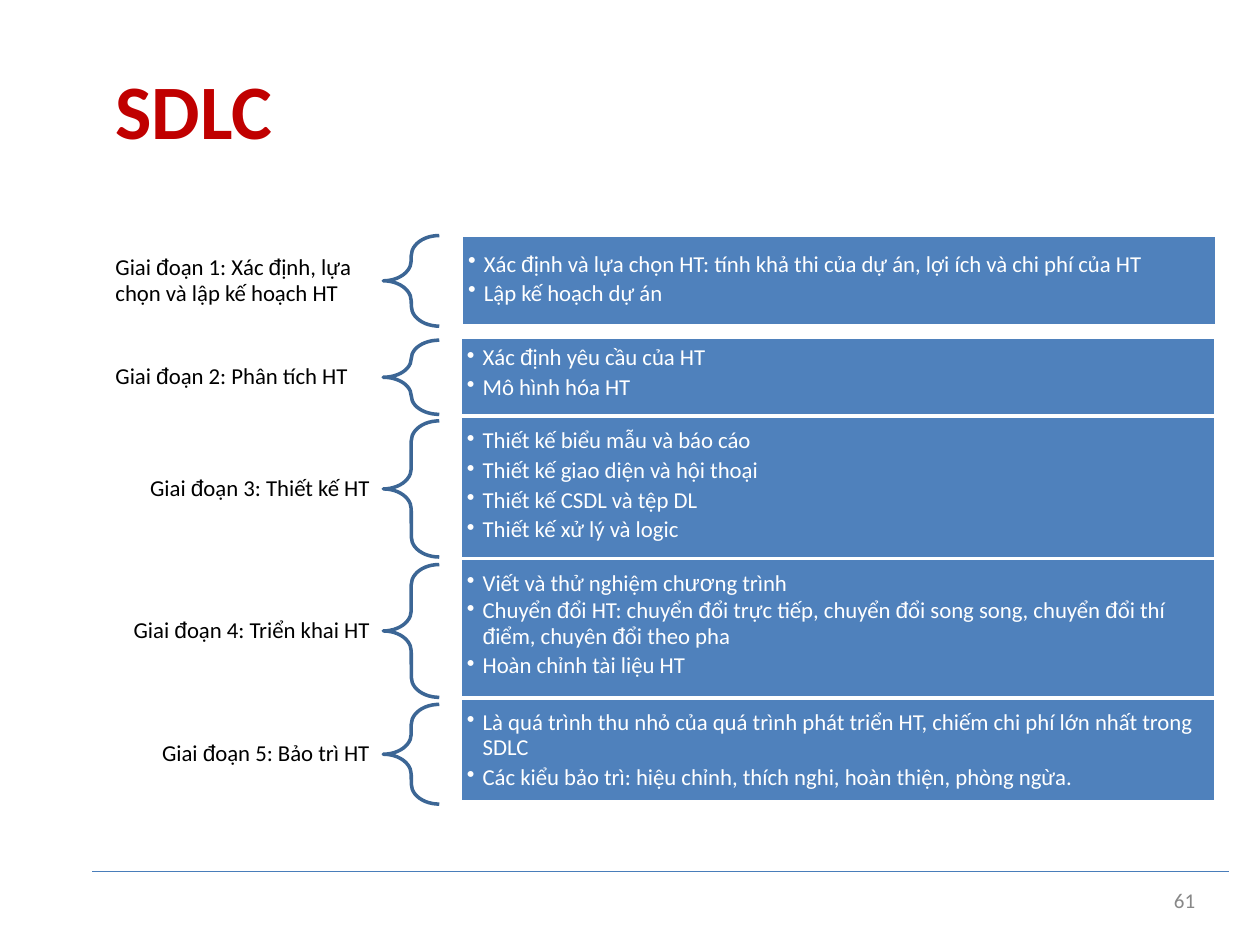
from itertools import groupby

from lxml.etree import SubElement
from pptx import Presentation
from pptx.dml.color import RGBColor
from pptx.enum.shapes import MSO_CONNECTOR, MSO_SHAPE
from pptx.enum.text import MSO_ANCHOR, PP_ALIGN
from pptx.oxml.ns import qn
from pptx.util import Pt

BLUE, BRACE_BLUE, WHITE, BLACK = "4F81BC", "3C6695", "FFFFFF", "000000"
ARIAL_LETTERS = "đươ"
LEFT, RIGHT = PP_ALIGN.LEFT, PP_ALIGN.RIGHT

# label, label alignment, brace top and height, panel height, top inset, bullets
PHASES = [
    ("Giai đoạn 1: Xác định, lựa chọn và lập kế hoạch HT", LEFT, 134.6, 51.8, 51.8, 8,
     ["Xác định và lựa chọn HT: tính khả thi của dự án, lợi ích và chi phí của HT",
      "Lập kế hoạch dự án"]),
    ("Giai đoạn 2: Phân tích HT", LEFT, 194.4, 42.4, 44.6, 3.6,
     ["Xác định yêu cầu của HT", "Mô hình hóa HT"]),
    ("Giai đoạn 3: Thiết kế HT", RIGHT, 240.5, 77.8, 81.4, 6.5,
     ["Thiết kế biểu mẫu và báo cáo", "Thiết kế giao diện và hội thoại",
      "Thiết kế CSDL và tệp DL", "Thiết kế xử lý và logic"]),
    ("Giai đoạn 4: Triển khai HT", RIGHT, 322.6, 75.9, 79.9, 6.5,
     ["Viết và thử nghiệm chương trình",
      "Chuyển đổi HT: chuyển đổi trực tiếp, chuyển đổi song song, "
      "chuyển đổi thí điểm, chuyên đổi theo pha",
      "Hoàn chỉnh tài liệu HT"]),
    ("Giai đoạn 5: Bảo trì HT", RIGHT, 402.5, 57, 59, 7.2,
     ["Là quá trình thu nhỏ của quá trình phát triển HT, chiếm chi phí lớn nhất trong SDLC",
      "Các kiểu bảo trì: hiệu chỉnh, thích nghi, hoàn thiện, phòng ngừa."]),
]


def color(value):
    return RGBColor.from_string(value)


def clear_insets(frame):
    frame.margin_left = frame.margin_right = frame.margin_top = frame.margin_bottom = 0


def write(para, text, size, tone, bold=False):
    """Write text in Calibri, with the special letters in Arial."""
    for is_arial, letters in groupby(text, lambda letter: letter in ARIAL_LETTERS):
        span = para.add_run()
        span.text = "".join(letters)
        span.font.name = "Arial" if is_arial else "Calibri"
        span.font.size = Pt(size)
        span.font.bold = bold
        span.font.color.rgb = color(tone)


def write_bullets(frame, bullets):
    for index, text in enumerate(bullets):
        para = frame.paragraphs[0] if index == 0 else frame.add_paragraph()
        para.alignment = LEFT
        if index:
            para.space_before = Pt(1.1)
        if len(text) > 78:  # bullets that wrap are set tighter
            para.line_spacing = Pt(14.6)
        properties = para._p.get_or_add_pPr()
        properties.set("marL", str(Pt(13)))
        properties.set("indent", str(Pt(-9)))
        SubElement(properties, qn("a:buChar"), char="•")
        write(para, text, 13, WHITE)


def add_title(page, text, left, top, width, height):
    title = page.shapes.title
    title.left, title.top, title.width, title.height = map(Pt, (left, top, width, height))
    frame = title.text_frame
    clear_insets(frame)
    frame.word_wrap = False
    frame.vertical_anchor = MSO_ANCHOR.TOP
    frame.paragraphs[0].alignment = LEFT
    write(frame.paragraphs[0], text, 44, "C00000", bold=True)


def add_text(page, text, left, top, width, height, size, tone, align):
    box = page.shapes.add_textbox(*map(Pt, (left, top, width, height)))
    frame = box.text_frame
    frame.word_wrap = True
    frame.vertical_anchor = MSO_ANCHOR.MIDDLE
    clear_insets(frame)
    para = frame.paragraphs[0]
    para.alignment = align
    para.line_spacing = 0.92
    write(para, text, size, tone)


def add_phase_label(page, text, align, left, top, height):
    add_text(page, text, left, top, 145, height, 13, BLACK, align)
    brace = page.shapes.add_shape(MSO_SHAPE.LEFT_BRACE, *map(Pt, (left + 153, top, 32, height)))
    brace.adjustments[0] = 0.36
    brace.shadow.inherit = False
    brace.fill.background()
    brace.line.color.rgb = color(BRACE_BLUE)
    brace.line.width = Pt(2)


def add_panel(page, phase, left, top, width, height):
    panel = page.shapes.add_shape(MSO_SHAPE.RECTANGLE, *map(Pt, (left, top, width, height)))
    panel.shadow.inherit = False
    panel.fill.solid()
    panel.fill.fore_color.rgb = color(BLUE)
    panel.line.color.rgb = color(WHITE)
    panel.line.width = Pt(2)
    frame = panel.text_frame
    clear_insets(frame)
    frame.margin_top, frame.margin_right = Pt(phase[5]), Pt(8)
    frame.word_wrap = True
    frame.vertical_anchor = MSO_ANCHOR.TOP
    write_bullets(frame, phase[6])


def add_border(cell):
    properties = cell._tc.get_or_add_tcPr()
    for index, side in enumerate(("lnL", "lnR", "lnT", "lnB")):
        line = properties.makeelement(qn(f"a:{side}"), {"w": str(Pt(2.25))})
        fill = SubElement(line, qn("a:solidFill"))
        SubElement(fill, qn("a:srgbClr"), val=WHITE)
        properties.insert(index, line)


def add_phase_table(page, phases, left, top, width):
    height = sum(phase[4] for phase in phases)
    table = page.shapes.add_table(len(phases), 1, *map(Pt, (left, top, width, height))).table
    table.first_row = table.horz_banding = False
    for index, phase in enumerate(phases):
        table.rows[index].height = Pt(phase[4])
        cell = table.cell(index, 0)
        cell.fill.solid()
        cell.fill.fore_color.rgb = color(BLUE)
        clear_insets(cell)
        cell.margin_top, cell.margin_right = Pt(phase[5]), Pt(8)
        add_border(cell)
        write_bullets(cell.text_frame, phase[6])


def add_footer(page, number, left, top, width):
    ends = map(Pt, (left, top, left + width, top))
    rule = page.shapes.add_connector(MSO_CONNECTOR.STRAIGHT, *ends)
    rule.line.color.rgb = color("497DBA")
    rule.line.width = Pt(0.78)
    SubElement(rule._element.spPr, qn("a:effectLst"))
    add_text(page, number, left + width - 36, top + 10, 17, 14, 12, "888888", RIGHT)


def main():
    deck = Presentation()
    deck.slide_width, deck.slide_height = Pt(720), Pt(540)
    page = deck.slides.add_slide(deck.slide_layouts[5])
    add_title(page, "SDLC", 66, 36, 92, 55)
    # Phase names with their braces
    for label, align, top, height, *_ in PHASES:
        add_phase_label(page, label, align, 66, top, height)
    # Phase contents
    add_panel(page, PHASES[0], 263.5, 134.6, 432, PHASES[0][4])
    add_phase_table(page, PHASES[1:], 262.8, 193, 432)
    add_footer(page, "61", 52.6, 498, 649.4)
    deck.save("out.pptx")


if __name__ == "__main__":
    main()
